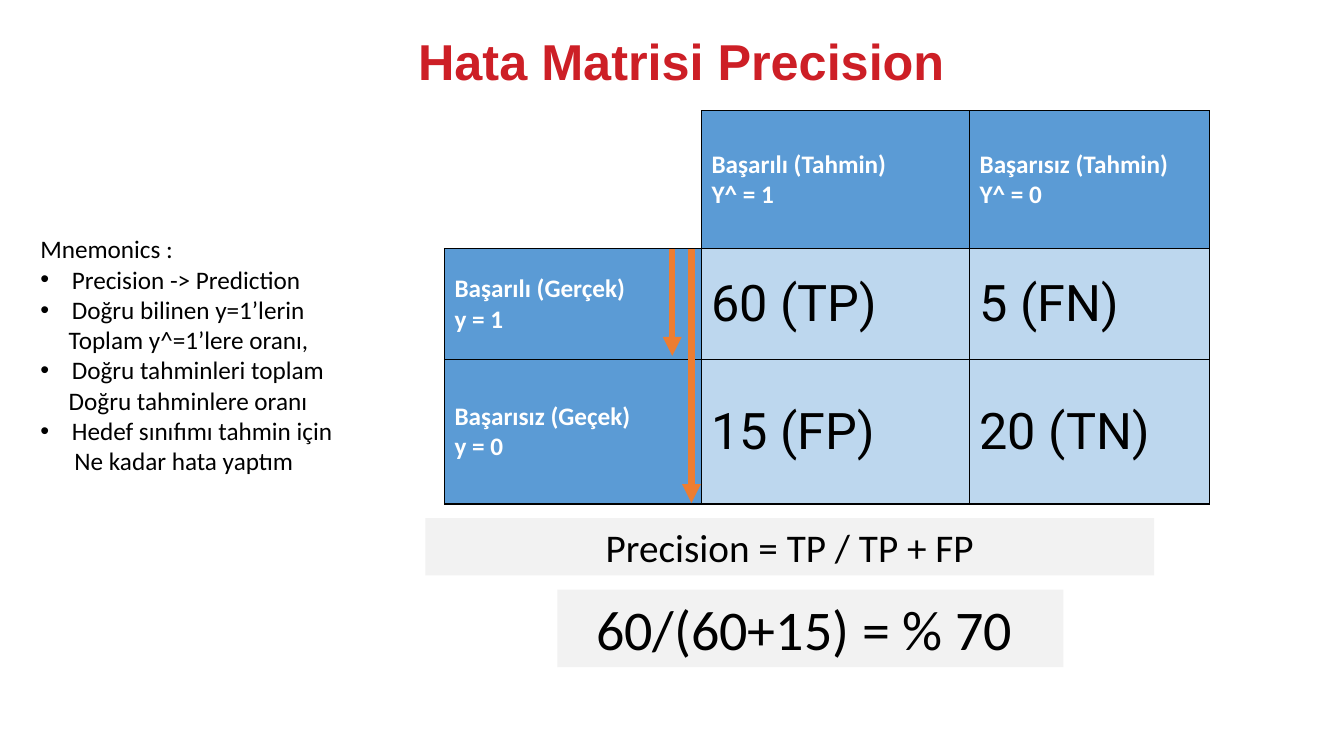
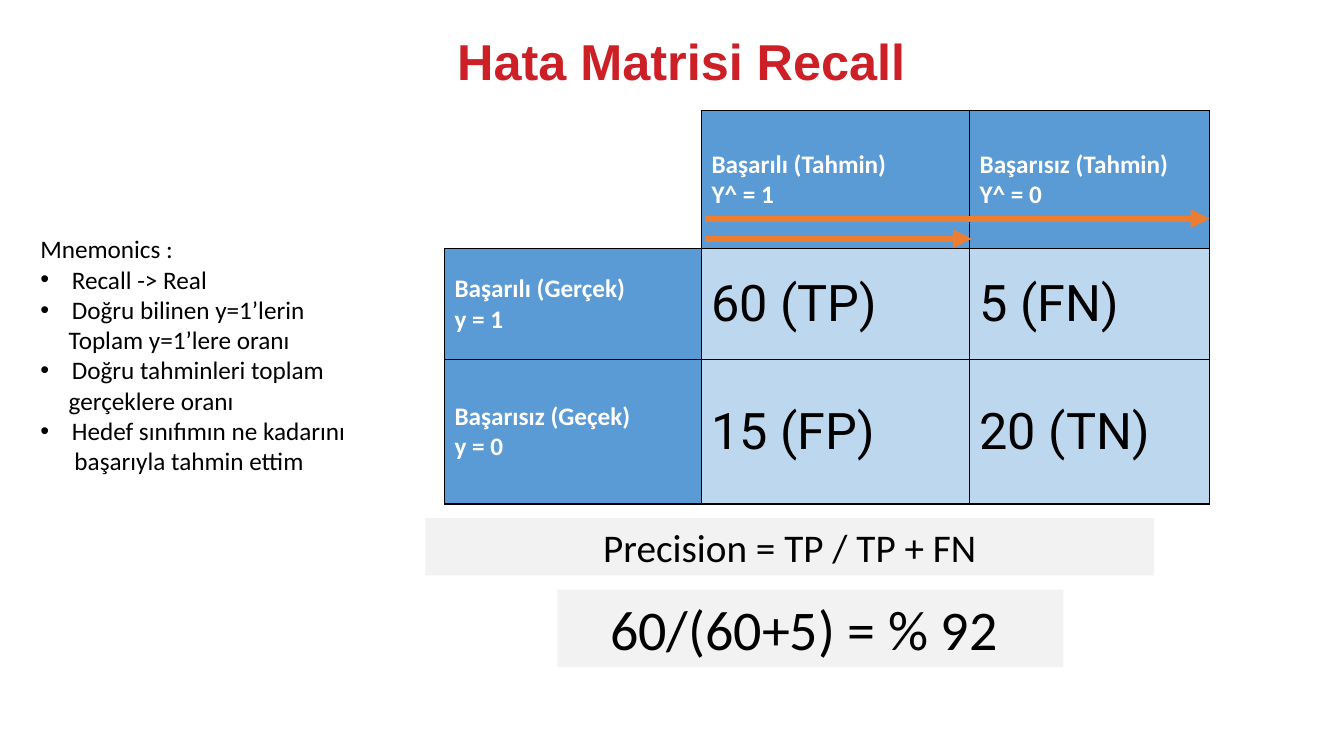
from lxml import etree
from pptx import Presentation
from pptx.dml.color import RGBColor
from pptx.enum import shapes, text
from pptx.oxml.ns import qn
from pptx.util import Pt

RED, BLUE, PALE_BLUE = "CD1F26", "5B9BD5", "BDD7EE"
GREY, ORANGE, BLACK, WHITE = "F2F2F2", "ED7D31", "000000", "FFFFFF"

TITLE_BOX = (154.8, 22.3, 663.8, 46.8)
NOTES_BOX = (21.6, 163.4, 239, 181.4)
FORMULA_BOX = (303.8, 370.1, 520.6, 41)
RESULT_BOX = (398.2, 421.2, 361.4, 55.4)

TABLE_LEFT, TABLE_TOP = 317.5, 79.2
COLUMNS = (183.6, 191.5, 171.4)
ROWS = (98.6, 79.2, 103)
COLUMN_EDGES = [TABLE_LEFT + sum(COLUMNS[:n]) for n in range(4)]
ROW_EDGES = [TABLE_TOP + sum(ROWS[:n]) for n in range(4)]

MATRIX = (
    ("", "Başarılı (Tahmin)\nY^ = 1", "Başarısız (Tahmin)\nY^ = 0"),
    ("Başarılı (Gerçek)\ny = 1", "60 (TP)", "5 (FN)"),
    ("Başarısız (Geçek)\ny = 0", "15 (FP)", "20 (TN)"),
)

BULLET, NEAR, FAR = 22.5, 20.3, 24.4
SLIDES = (
    {
        "title": "Hata Matrisi Precision",
        "notes": (
            ("Mnemonics :", 0),
            ("Precision -> Prediction", BULLET),
            ("Doğru bilinen y=1’lerin", BULLET),
            ("Toplam y^=1’lere oranı,", NEAR),
            ("Doğru tahminleri toplam", BULLET),
            ("Doğru tahminlere oranı", NEAR),
            ("Hedef sınıfımı tahmin için", BULLET),
            ("Ne kadar hata yaptım", FAR),
        ),
        "formula": "Precision = TP / TP + FP",
        "result": "60/(60+15) = % 70",
        "arrows": (
            (480.2, ROW_EDGES[1], 480.2, 254.2),
            (493.9, ROW_EDGES[1], 493.9, 359.3),
        ),
    },
    {
        "title": "Hata Matrisi Recall",
        "notes": (
            ("Mnemonics :", 0),
            ("Recall -> Real", BULLET),
            ("Doğru bilinen y=1’lerin", BULLET),
            ("Toplam y=1’lere oranı", NEAR),
            ("Doğru tahminleri toplam", BULLET),
            ("gerçeklere oranı", NEAR),
            ("Hedef sınıfımın ne kadarını", BULLET),
            ("başarıyla tahmin ettim", FAR),
        ),
        "formula": "Precision = TP / TP + FN",
        "result": "60/(60+5) = % 92",
        "arrows": (
            (503.3, 170.6, 694.1, 170.6),
            (503.3, 156.2, COLUMN_EDGES[3], 156.2),
        ),
    },
)


def color(value):
    return RGBColor.from_string(value)


def points(values):
    return [Pt(value) for value in values]


def paint(item, value):
    item.fill.solid()
    item.fill.fore_color.rgb = color(value)


def add_xml(parent, tag, **attributes):
    return etree.SubElement(parent, qn(tag), attributes)


def style(para, size, name="Calibri", ink=BLACK, bold=False):
    font = para.font
    font.size, font.name, font.bold = Pt(size), name, bold
    font.color.rgb = color(ink)


def place(shape, box):
    shape.left, shape.top, shape.width, shape.height = points(box)


def add_title(page, title):
    shape = page.shapes.title
    place(shape, TITLE_BOX)
    frame = shape.text_frame
    frame.text = title
    frame.auto_size = text.MSO_AUTO_SIZE.NONE
    para = frame.paragraphs[0]
    para.alignment = text.PP_ALIGN.CENTER
    para.line_spacing = 0.9
    style(para, 36, "Arial", RED, True)


def add_notes(page, lines):
    shape = page.placeholders[1]
    place(shape, NOTES_BOX)
    frame = shape.text_frame
    frame.text = "\n".join(line for line, _ in lines)
    frame.auto_size = text.MSO_AUTO_SIZE.NONE
    frame.word_wrap = False
    for para, (_, indent) in zip(frame.paragraphs, lines):
        para.space_before = Pt(0)
        properties = para._p.get_or_add_pPr()
        hanging = indent == BULLET
        properties.set("marL", str(Pt(indent)))
        properties.set("indent", str(-Pt(indent) if hanging else 0))
        if hanging:
            add_xml(properties, "a:buFont", typeface="Arial")
            add_xml(properties, "a:buChar", char="•")
        else:
            add_xml(properties, "a:buNone")
        style(para, 18)


def set_borders(cell, corner):
    properties = cell._tc.get_or_add_tcPr()
    for index, side in enumerate("LRTB"):
        line = etree.Element(qn(f"a:ln{side}"), w=str(Pt(1)))
        if corner and side in "LT":
            add_xml(line, "a:noFill")
        else:
            add_xml(add_xml(line, "a:solidFill"), "a:srgbClr", val=BLACK)
        properties.insert(index, line)


def add_matrix(page):
    box = (TABLE_LEFT, TABLE_TOP, sum(COLUMNS), sum(ROWS))
    table = page.shapes.add_table(len(ROWS), len(COLUMNS), *points(box)).table
    table.first_row = table.horz_banding = False
    for column, width in zip(table.columns, COLUMNS):
        column.width = Pt(width)
    for row, height in zip(table.rows, ROWS):
        row.height = Pt(height)
    for r, values in enumerate(MATRIX):
        for c, value in enumerate(values):
            cell = table.cell(r, c)
            set_borders(cell, r == c == 0)
            if not value:
                cell.fill.background()
                continue
            cell.text = value
            cell.vertical_anchor = text.MSO_ANCHOR.MIDDLE
            header = r == 0 or c == 0
            paint(cell, BLUE if header else PALE_BLUE)
            for para in cell.text_frame.paragraphs:
                if header:
                    style(para, 18, ink=WHITE, bold=True)
                else:
                    style(para, 36, "Roboto")


def add_band(page, box, words, size, right_margin=7.2):
    band = page.shapes.add_shape(shapes.MSO_SHAPE.RECTANGLE, *points(box))
    band.shadow.inherit = False
    paint(band, GREY)
    band.line.fill.background()
    frame = band.text_frame
    frame.text = words
    frame.word_wrap = True
    frame.margin_right = Pt(right_margin)
    frame.vertical_anchor = text.MSO_ANCHOR.TOP
    para = frame.paragraphs[0]
    para.alignment = text.PP_ALIGN.CENTER
    style(para, size)


def add_arrow(page, ends):
    arrow = page.shapes.add_connector(shapes.MSO_CONNECTOR.STRAIGHT, *points(ends))
    arrow.line.color.rgb = color(ORANGE)
    arrow.line.width = Pt(4.5)
    add_xml(arrow.line._get_or_add_ln(), "a:tailEnd", type="triangle")
    add_xml(arrow._element.spPr, "a:effectLst")


def main():
    deck = Presentation()
    deck.slide_width, deck.slide_height = Pt(960), Pt(540)
    for content in SLIDES:
        page = deck.slides.add_slide(deck.slide_layouts[1])
        add_title(page, content["title"])
        add_matrix(page)
        add_band(page, FORMULA_BOX, content["formula"], 28)
        add_band(page, RESULT_BOX, content["result"], 40, 16.2)
        for ends in content["arrows"]:
            add_arrow(page, ends)
        add_notes(page, content["notes"])
    deck.save("out.pptx")


if __name__ == "__main__":
    main()
